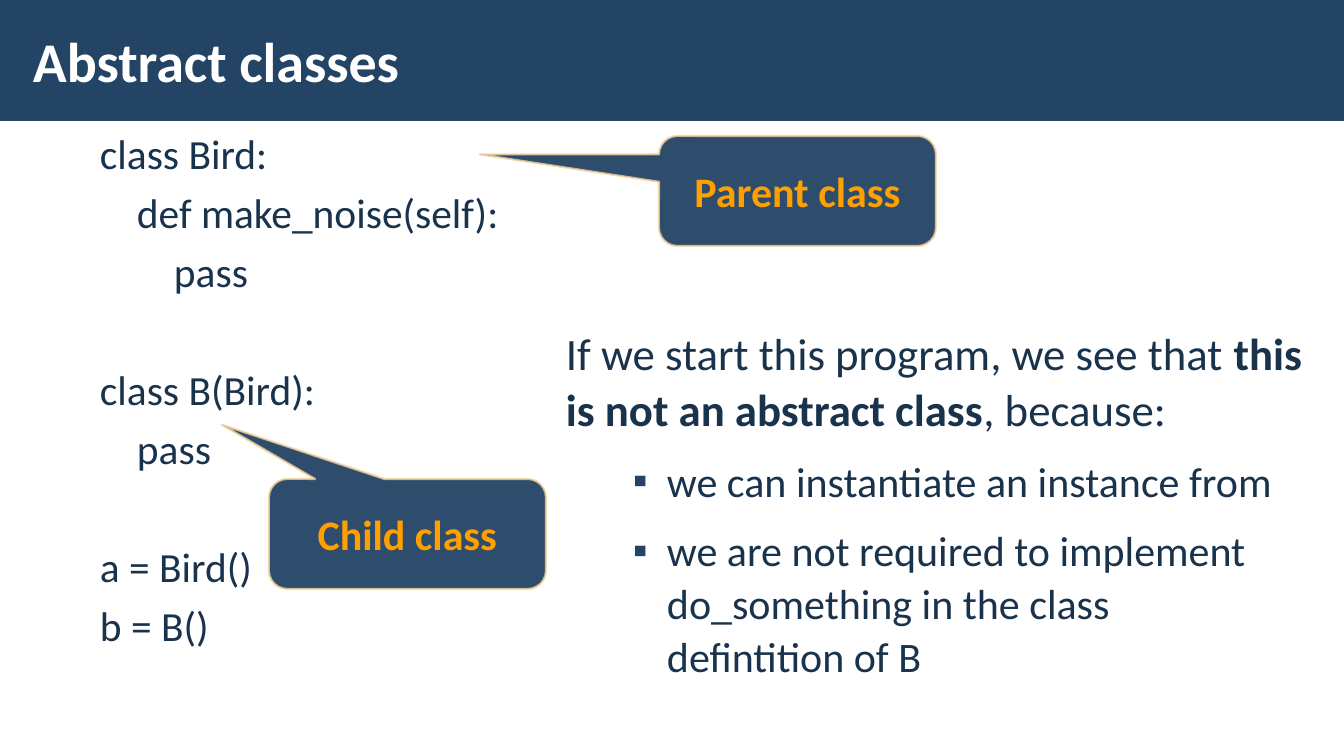
"""Build the slide about abstract classes."""
from lxml import etree
from pptx import Presentation
from pptx.dml.color import RGBColor
from pptx.enum.shapes import MSO_SHAPE
from pptx.enum.text import MSO_ANCHOR, PP_ALIGN
from pptx.oxml.ns import qn
from pptx.util import Pt

RECT, CALLOUT = MSO_SHAPE.RECTANGLE, MSO_SHAPE.ROUNDED_RECTANGULAR_CALLOUT
TOP, MIDDLE = MSO_ANCHOR.TOP, MSO_ANCHOR.MIDDLE
LEFT, CENTER = PP_ALIGN.LEFT, PP_ALIGN.CENTER

TITLE = "Abstract classes"
CODE_BLOCKS = [
    [(0, "class Bird:"), (1, "def make_noise(self):"), (2, "pass")],
    [(0, "class B(Bird):"), (1, "pass")],
    [(0, "a = Bird()"), (0, "b = B()")],
]
INTRO = [("If we start this program, we see that ", False),
         ("this is not an abstract class", True), (", because:", False)]
REASONS = ["we can instantiate an instance from",
           "we are not required to implement \ndo_something in the class\ndefintition of B"]
CALLOUTS = [("Child class", 269, 479, (-0.671, -0.994, 0.167)),
            ("Parent class", 659, 136, (-1.147, -0.332, 0.167))]

BLUE, INK, WHITE, ORANGE, SAND = "234465", "1A334C", "FFFFFF", "FFA000", "F8D49E"
FONT, BULLET_FONT = "Calibri", "Arial"
SCALE = 914400 / 100.8
CODE_LEFT, CODE_STEP, BULLET_LEFT, HANG = 67, 37, 168, 34
GAP, CODE_PITCH = 6, 42


def px(n):
    return round(n * SCALE)


def rgb(value):
    return RGBColor.from_string(value)


def set_alpha(fill_parent, percent):
    color = next(fill_parent.iter(qn("a:srgbClr")))
    etree.SubElement(color, qn("a:alpha"), val=str(percent * 1000))


def add_run(p, text, size, color, bold=False):
    for i, line in enumerate(text.split("\n")):
        if i:
            p.add_line_break()
        r = p.add_run()
        r.text = line
        for name, value in {"name": FONT, "size": Pt(size), "bold": bold}.items():
            setattr(r.font, name, value)
        r.font.color.rgb = rgb(color)


def add_paragraph(tf, runs, size, color, left=0, hang=0, **spacing):
    p = tf.paragraphs[0] if not tf.paragraphs[0].runs else tf.add_paragraph()
    for name, value in {"alignment": LEFT, **spacing}.items():
        setattr(p, name, value)
    pPr = p._p.get_or_add_pPr()
    pPr.set("marL", str(px(left)))
    pPr.set("indent", str(-px(hang)))
    for text, bold in runs:
        add_run(p, text, size, color, bold)
    return p


def add_bullet(p):
    pPr = p._p.get_or_add_pPr()
    color = etree.SubElement(pPr, qn("a:buClr"))
    etree.SubElement(color, qn("a:srgbClr"), val=BLUE)
    etree.SubElement(pPr, qn("a:buFont"), typeface=BULLET_FONT)
    etree.SubElement(pPr, qn("a:buChar"), char="▪")


def add_text_box(s, x, y, w, h, anchor=TOP):
    tf = s.shapes.add_textbox(px(x), px(y), px(w), px(h)).text_frame
    margins = {"margin_left": px(12), "margin_right": px(12),
               "margin_top": px(4), "margin_bottom": px(4)}
    for name, value in {"word_wrap": True, "vertical_anchor": anchor, **margins}.items():
        setattr(tf, name, value)
    return tf


def add_box(s, kind, x, y, w, h):
    sp = s.shapes.add_shape(kind, px(x), px(y), px(w), px(h))
    sp.shadow.inherit = False
    sp.fill.solid()
    sp.fill.fore_color.rgb = rgb(BLUE)
    return sp


def add_callout(s, label, x, y, adjustments):
    sp = add_box(s, CALLOUT, x, y, 277, 110)
    for i, value in enumerate(adjustments):
        sp.adjustments[i] = value
    sp.line.color.rgb = rgb(SAND)
    sp.line.width = Pt(1.5)
    set_alpha(sp._element.spPr.find(qn("a:solidFill")), 95)
    set_alpha(sp._element.spPr.find(qn("a:ln")), 80)
    sp.text_frame.vertical_anchor = MIDDLE
    add_paragraph(sp.text_frame, [(label, True)], 30, ORANGE, alignment=CENTER)


def main():
    prs = Presentation()
    prs.slide_width, prs.slide_height = px(1344), px(756)
    s = prs.slides.add_slide(prs.slide_layouts[6])

    add_box(s, RECT, 0, 0, 1344, 121).line.fill.background()

    tf = add_text_box(s, 21, 132, 525, 574)
    for b, block in enumerate(CODE_BLOCKS):
        for i, (level, text) in enumerate(block):
            before = GAP + CODE_PITCH if b and not i else GAP
            add_paragraph(tf, [(text, False)], 29.6, INK, CODE_LEFT + level * CODE_STEP,
                          line_spacing=0.85, space_before=Pt(before), space_after=Pt(GAP))

    tf = add_text_box(s, 21, 11, 1047, 98, MIDDLE)
    add_paragraph(tf, [(TITLE, True)], 40, WHITE)

    for callout in CALLOUTS:
        add_callout(s, *callout)

    tf = add_text_box(s, 487, 319, 840, 430)
    spacing = {"line_spacing": 1.05, "space_before": Pt(GAP), "space_after": Pt(GAP)}
    add_paragraph(tf, INTRO, 32, INK, CODE_LEFT, **spacing)
    for reason in REASONS:
        add_bullet(add_paragraph(tf, [(reason, False)], 30, INK, BULLET_LEFT, HANG, **spacing))

    prs.save("out.pptx")


if __name__ == "__main__":
    main()
